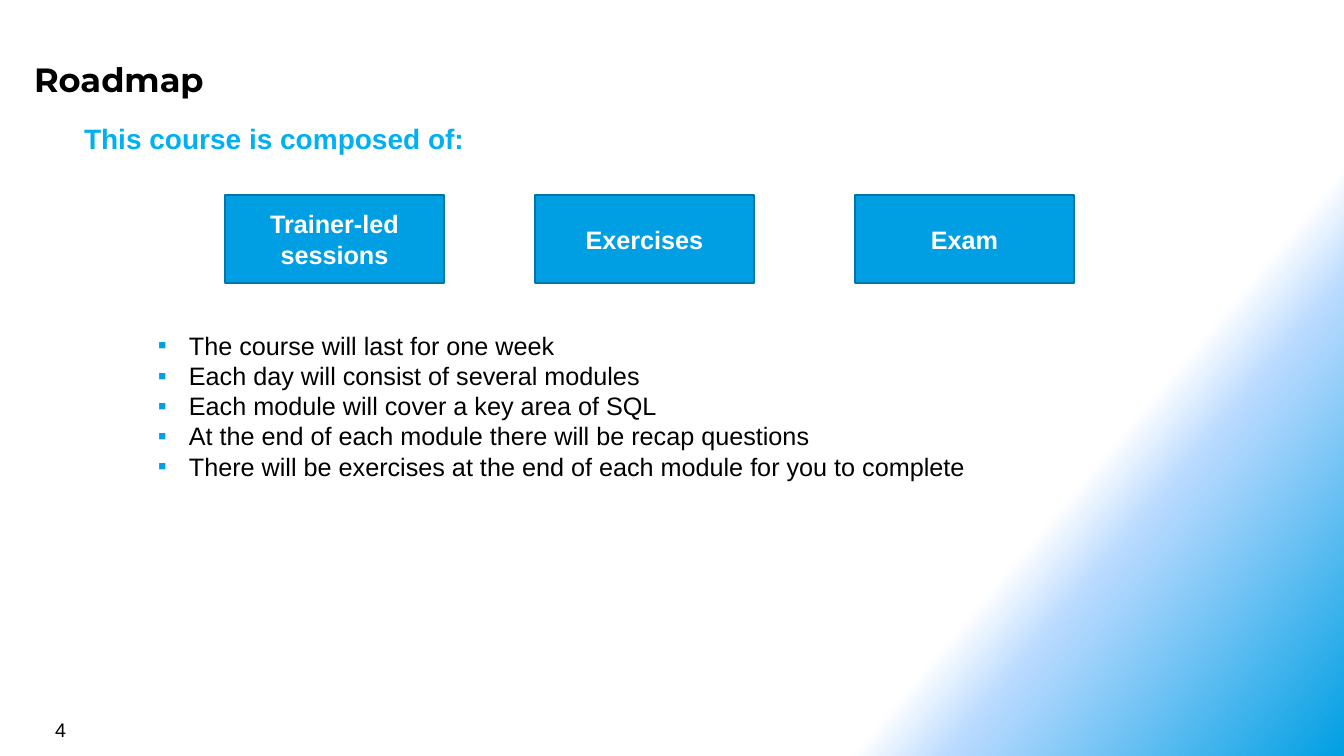
from dataclasses import dataclass

from lxml.etree import SubElement
from pptx import Presentation
from pptx.dml.color import RGBColor
from pptx.enum.shapes import MSO_SHAPE
from pptx.enum.text import MSO_ANCHOR, PP_ALIGN
from pptx.oxml import parse_xml
from pptx.oxml.ns import nsdecls, qn
from pptx.util import Pt

SCALE = 914400 / 100.8


@dataclass(frozen=True)
class Theme:
    body: str = "Arial"
    head: str = "Montserrat"
    black: str = "000000"
    white: str = "FFFFFF"
    blue: str = "009FE3"
    edge: str = "0076A8"
    cyan: str = "00B0F0"
    pale: str = "B9DAFF"
    title: int = 24
    lead: int = 20
    text: int = 18
    page: int = 14
    pitch: float = 21.6


THEME = Theme()
PARTS = ["Trainer-led sessions", "Exercises", "Exam"]
LEFTS = [0, 310, 630]
POINTS = [
    "The course will last for one week",
    "Each day will consist of several modules",
    "Each module will cover a key area of SQL",
    "At the end of each module there will be recap questions",
    "There will be exercises at the end of each module for you to complete",
]


def px(n):
    return round(n * SCALE)


def style(para, size, color, bold=False, font=THEME.body):
    for run in para.runs:
        run.font.size = Pt(size)
        run.font.name = font
        run.font.bold = bold
        run.font.color.rgb = RGBColor.from_string(color)


def add_text(slide, box, text, inset=(10, 5)):
    frame = slide.shapes.add_textbox(*map(px, box)).text_frame
    frame.word_wrap = True
    frame.margin_left = frame.margin_right = px(inset[0])
    frame.margin_top = frame.margin_bottom = px(inset[1])
    frame.text = text
    return frame.paragraphs


def paint_back(slide):
    """Fill the background with a diagonal fade into the lower right corner."""
    fill = slide.background.fill
    fill.gradient()
    fade = slide.background._cSld.find(".//" + qn("a:gradFill"))
    stops = [(75, THEME.white), (80, THEME.pale), (100, THEME.blue)]
    marks = "".join(
        f'<a:gs pos="{pos * 1000}"><a:srgbClr val="{color}"/></a:gs>'
        for pos, color in stops
    )
    fade.replace(
        fade.find(qn("a:gsLst")),
        parse_xml(f'<a:gsLst {nsdecls("a")}>{marks}</a:gsLst>'),
    )
    line = fade.find(qn("a:lin"))
    line.set("ang", str(40 * 60000))
    line.set("scaled", "0")


def add_parts(slide, box):
    left, top, width, height = box
    for step, name in zip(LEFTS, PARTS):
        card = slide.shapes.add_shape(
            MSO_SHAPE.RECTANGLE, *map(px, (left + step, top, width, height))
        )
        card.shadow.inherit = False
        card.fill.solid()
        card.fill.fore_color.rgb = RGBColor.from_string(THEME.blue)
        card.line.color.rgb = RGBColor.from_string(THEME.edge)
        card.line.width = Pt(1)
        frame = card.text_frame
        frame.text = name
        frame.word_wrap = True
        frame.vertical_anchor = MSO_ANCHOR.MIDDLE
        para = frame.paragraphs[0]
        para.alignment = PP_ALIGN.CENTER
        para.line_spacing = Pt(THEME.pitch)
        style(para, THEME.text, THEME.white, bold=True)


def add_points(slide, box):
    for para in add_text(slide, box, "\n".join(POINTS), (10, 10)):
        para.line_spacing = Pt(THEME.pitch)
        style(para, THEME.text, THEME.black)
        props = para._p.get_or_add_pPr()
        props.set("marL", str(px(82)))
        props.set("indent", str(px(-31)))
        tint = SubElement(props, qn("a:buClr"))
        SubElement(tint, qn("a:srgbClr")).set("val", THEME.blue)
        SubElement(props, qn("a:buFont")).set("typeface", THEME.body)
        SubElement(props, qn("a:buChar")).set("char", "▪")


def add_roadmap(deck):
    slide = deck.slides.add_slide(deck.slide_layouts[6])
    paint_back(slide)
    title = add_text(slide, (26, 51, 1236, 55), "Roadmap", (8, 8))
    style(title[0], THEME.title, THEME.black, True, THEME.head)
    lead = add_text(slide, (74, 116, 420, 44), "This course is composed of:")
    style(lead[0], THEME.lead, THEME.cyan, True)
    add_parts(slide, (225, 195, 219, 88))
    add_points(slide, (97, 320, 1133, 235))
    page = add_text(slide, (45, 713, 313, 33), "4")
    style(page[0], THEME.page, THEME.black)


def main():
    deck = Presentation()
    deck.slide_width, deck.slide_height = px(1344), px(756)
    add_roadmap(deck)
    deck.save("out.pptx")


if __name__ == "__main__":
    main()
